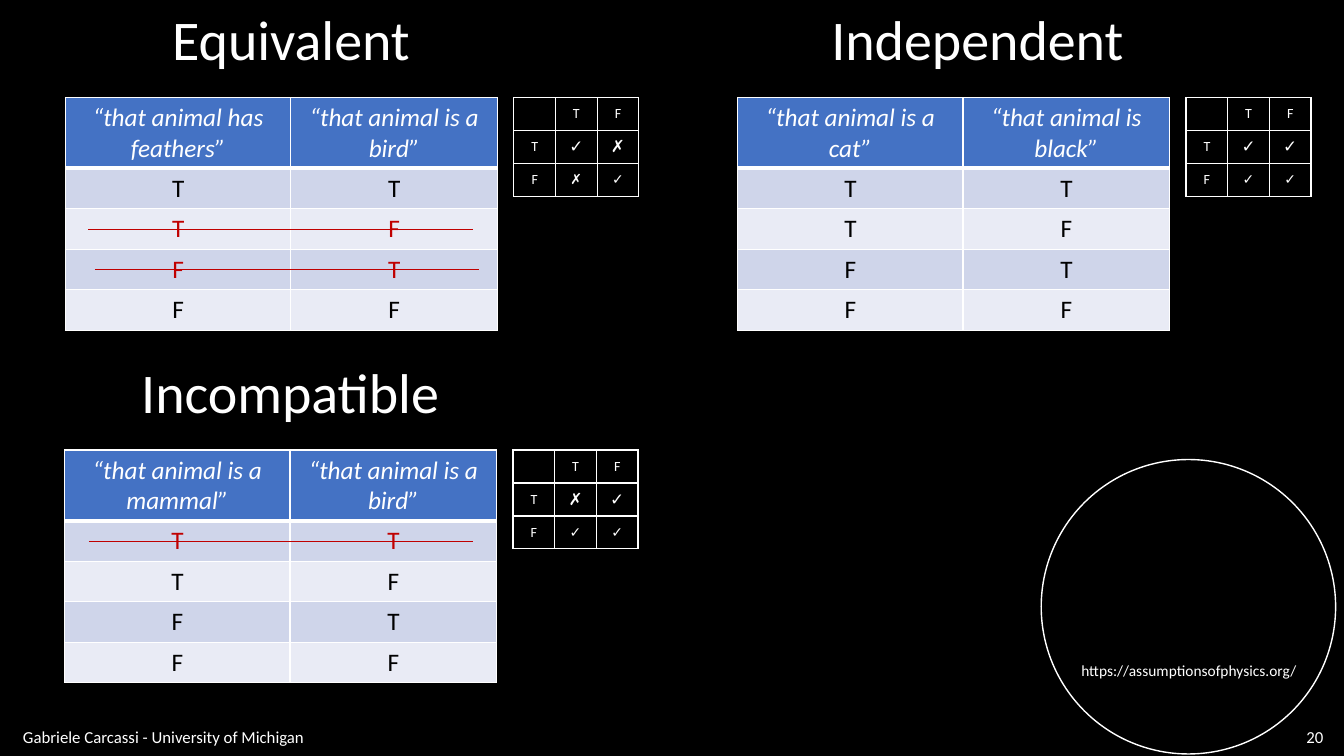
from lxml import etree
from pptx import Presentation
from pptx.dml.color import RGBColor
from pptx.enum.shapes import MSO_CONNECTOR, MSO_SHAPE
from pptx.enum.text import MSO_ANCHOR as Anchor, MSO_AUTO_SIZE as AutoSize, PP_ALIGN as Align
from pptx.oxml.ns import qn
from pptx.util import Cm, Pt

WHITE, BLACK, RED, BLUE = "FFFFFF", "000000", "C00000", "4472C4"
BANDS = ("CFD5EA", "E9EBF5")
TRUTH_ROWS = ("TT", "TF", "FT", "FF")
COLUMN_WIDTHS = (5.68, 5.21)
HEADER_HEIGHT, ROW_HEIGHT = 1.78, 1.02
GRID_CELL = (1.05, 0.83)
TABLE_DROP, GRID_SHIFT = 2.46, 11.3
STRIKE_LENGTH = 9.68

# heading, its shift and width, panel left and top, statements,
# strikes {row: shift from the table's left}, marks for T and F
PANELS = (
    ("Equivalent", 2.44, 6.55, 1.65, 0,
     ("“that animal has feathers”", "“that animal is a bird”"), {1: 0.58, 2: 0.74}, ("✓✗", "✗✓")),
    ("Independent", 2.11, 7.95, 18.59, 0,
     ("“that animal is a cat”", "“that animal is black”"), {}, ("✓✓", "✓✓")),
    ("Incompatible", 1.68, 8.1, 1.63, 8.88,
     ("“that animal is a mammal”", "“that animal is a bird”"), {0: 0.61}, ("✗✓", "✓✓")),
)


def colour(value):
    return RGBColor.from_string(value)


def write(text_frame, text, size, color=WHITE, align=Align.LEFT, font_name="Calibri", italic=False):
    text_frame.text = text
    paragraph = text_frame.paragraphs[0]
    paragraph.alignment = align
    for run in paragraph.runs:
        font = run.font
        font.name, font.size, font.bold, font.italic = font_name, Pt(size), False, italic
        font.color.rgb = colour(color)


def add_text(slide, left, top, width, height, text, size, align=Align.LEFT,
             anchor=Anchor.TOP, wrap=False):
    box = slide.shapes.add_textbox(Cm(left), Cm(top), Cm(width), Cm(height))
    text_frame = box.text_frame
    text_frame.word_wrap = wrap
    text_frame.auto_size = AutoSize.NONE if wrap else AutoSize.SHAPE_TO_FIT_TEXT
    text_frame.vertical_anchor = anchor
    write(text_frame, text, size, align=align)


def set_borders(cell, **widths):
    """Draw white borders of 1 pt, or of the width given for a side (L, R, T, B)."""
    properties = cell._tc.get_or_add_tcPr()
    for side in "LRTB":
        width = Pt(widths.get(side, 1))
        line = etree.SubElement(properties, qn(f"a:ln{side}"), w=str(width))
        fill = etree.SubElement(line, qn("a:solidFill"))
        etree.SubElement(fill, qn("a:srgbClr"), val=WHITE)


def add_table(slide, left, top, widths, heights):
    frame = slide.shapes.add_table(len(heights), len(widths), Cm(left), Cm(top),
                                   Cm(sum(widths)), Cm(sum(heights)))
    table = frame.table
    for column, width in zip(table.columns, widths):
        column.width = Cm(width)
    for row, height in zip(table.rows, heights):
        row.height = Cm(height)
    return table


def add_truth_table(slide, left, top, statements, strikes):
    table = add_table(slide, left, top, COLUMN_WIDTHS,
                      [HEADER_HEIGHT] + [ROW_HEIGHT] * len(TRUTH_ROWS))
    for column, statement in enumerate(statements):
        header = table.cell(0, column)
        set_borders(header, B=3)
        header.fill.solid()
        header.fill.fore_color.rgb = colour(BLUE)
        write(header.text_frame, statement, 18, align=Align.CENTER, italic=True)
        for row, values in enumerate(TRUTH_ROWS):
            cell = table.cell(row + 1, column)
            set_borders(cell, T=1 if row else 3)
            cell.fill.solid()
            cell.fill.fore_color.rgb = colour(BANDS[row % 2])
            write(cell.text_frame, values[column], 18,
                  RED if row in strikes else BLACK, Align.CENTER)
    for row, shift in strikes.items():
        add_strike(slide, left + shift, top + HEADER_HEIGHT + (row + 0.5) * ROW_HEIGHT)


def add_strike(slide, left, middle):
    strike = slide.shapes.add_connector(MSO_CONNECTOR.STRAIGHT, Cm(left), Cm(middle),
                                        Cm(left + STRIKE_LENGTH), Cm(middle))
    strike.line.color.rgb = colour(RED)
    strike.line.width = Pt(0.5)
    etree.SubElement(strike._element.spPr, qn("a:effectLst"))


def add_possibility_grid(slide, left, top, marks):
    width, height = GRID_CELL
    table = add_table(slide, left, top, [width] * 3, [height] * 3)
    table.first_row = table.horz_banding = False
    rows = (("", "T", "F"), ("T", *marks[0]), ("F", *marks[1]))
    for row, values in enumerate(rows):
        for column, value in enumerate(values):
            cell = table.cell(row, column)
            set_borders(cell)
            cell.fill.background()
            cell.vertical_anchor = Anchor.MIDDLE
            cell.margin_top = cell.margin_bottom = Cm(0.05)
            is_mark = row > 0 and column > 0
            write(cell.text_frame, value, 12 if is_mark and row == 1 else 10,
                  align=Align.CENTER, font_name="Arial" if is_mark else "Calibri")
    corner = table.cell(0, 0).text_frame.paragraphs[0]
    etree.SubElement(corner._p, qn("a:endParaRPr"), sz="1000")


def add_panel(slide, heading, heading_shift, heading_width, left, top, statements, strikes, marks):
    add_text(slide, left + heading_shift, top, heading_width, 1.96, heading, 40)
    add_truth_table(slide, left, top + TABLE_DROP, statements, strikes)
    add_possibility_grid(slide, left + GRID_SHIFT, top + TABLE_DROP, marks)


def add_web_circle(slide, left, top, diameter):
    circle = slide.shapes.add_shape(MSO_SHAPE.OVAL, Cm(left), Cm(top), Cm(diameter), Cm(diameter))
    circle.shadow.inherit = False
    circle.fill.background()
    circle.line.color.rgb = colour(WHITE)
    circle.line.width = Pt(1)
    add_text(slide, left + 0.76, top + 4.95, 5.97, 0.74, "https://assumptionsofphysics.org/", 11)


def add_footer(slide, top, height):
    add_text(slide, 0.33, top, 16.59, height, "Gabriele Carcassi - University of Michigan", 12,
             anchor=Anchor.MIDDLE, wrap=True)
    add_text(slide, 32.05, top, 1.55, height, "20", 12, Align.RIGHT, Anchor.MIDDLE, True)


def main():
    presentation = Presentation()
    presentation.slide_width, presentation.slide_height = Cm(33.87), Cm(19.05)
    slide = presentation.slides.add_slide(presentation.slide_layouts[6])
    slide.background.fill.solid()
    slide.background.fill.fore_color.rgb = colour(BLACK)
    add_web_circle(slide, 26.24, 11.58, 7.42)
    add_footer(slide, 18.25, 0.65)
    for panel in PANELS:
        add_panel(slide, *panel)
    presentation.save("out.pptx")


if __name__ == "__main__":
    main()
